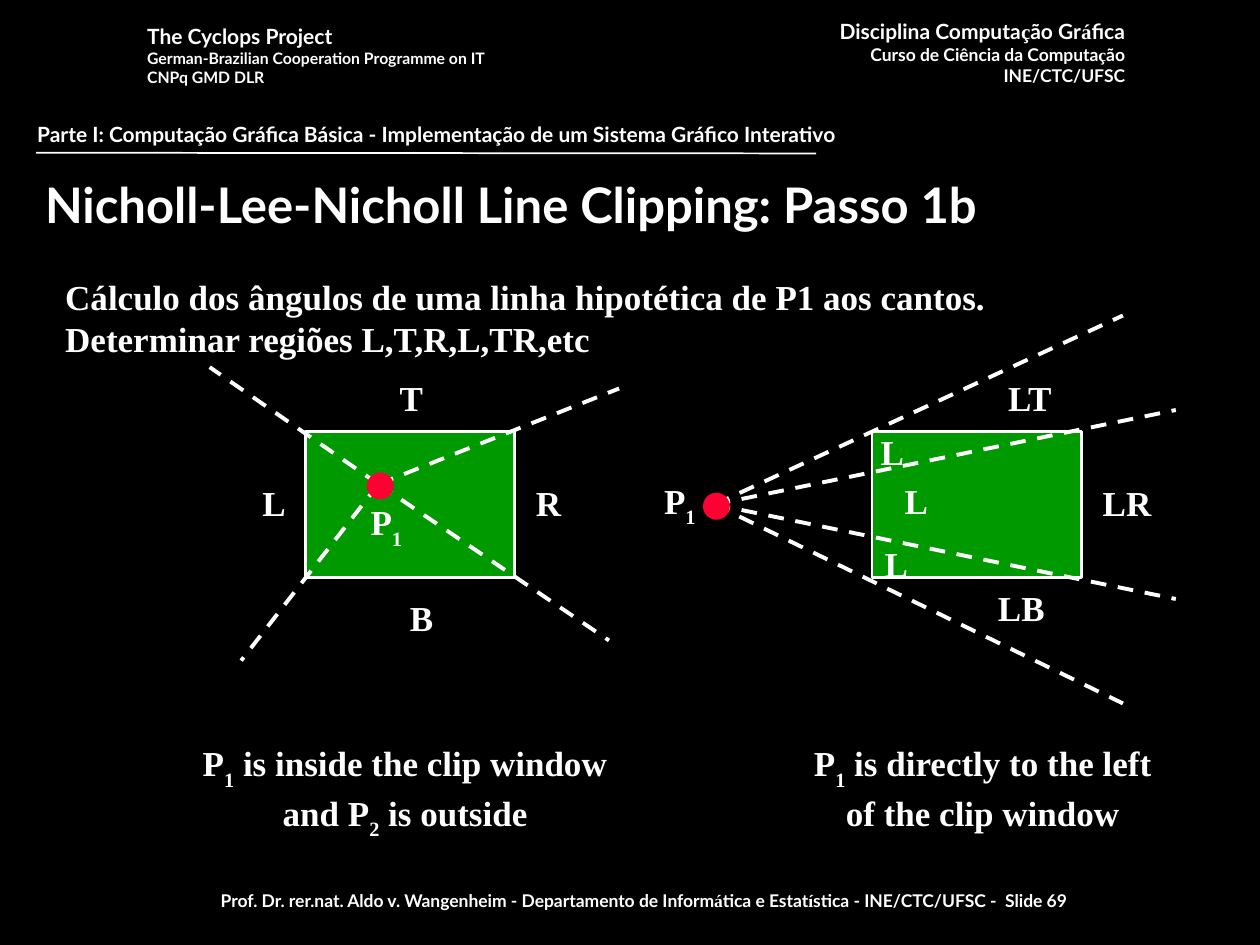
from pptx import Presentation
from pptx.dml.color import RGBColor
from pptx.enum.dml import MSO_LINE
from pptx.enum.shapes import MSO_CONNECTOR, MSO_SHAPE
from pptx.enum.text import MSO_ANCHOR, MSO_AUTO_SIZE, PP_ALIGN
from pptx.oxml.ns import qn
from pptx.util import Pt
from lxml import etree

BLACK = RGBColor(0x00, 0x00, 0x00)
WHITE = RGBColor(0xFF, 0xFF, 0xFF)
GREEN = RGBColor(0x00, 0x99, 0x00)
RED = RGBColor(0xFF, 0x00, 0x33)

SANS, SERIF = "Lato", "Times New Roman"
LEFT, CENTER, RIGHT = PP_ALIGN.LEFT, PP_ALIGN.CENTER, PP_ALIGN.RIGHT
DASH = MSO_LINE.DASH
STRAIGHT = MSO_CONNECTOR.STRAIGHT
RECTANGLE, OVAL = MSO_SHAPE.RECTANGLE, MSO_SHAPE.OVAL
FIT_SHAPE, FIXED_SIZE = MSO_AUTO_SIZE.SHAPE_TO_FIT_TEXT, MSO_AUTO_SIZE.NONE
MIDDLE = MSO_ANCHOR.MIDDLE

WINDOW_WIDTH, WINDOW_HEIGHT = 119.5, 83.5
DOT_SIZE = 14.4


def make_serif(run):
    run.font.name = SERIF


def make_subscript(run):
    run.font._element.set("baseline", "-30000")


def add_text(shapes, box, lines, font=SERIF, align=LEFT, wrap=False, mark=make_subscript):
    """Add lines of (text, size); every second part between bars gets the mark."""
    shape = shapes.add_textbox(*(Pt(length) for length in box))
    frame = shape.text_frame
    frame.word_wrap = wrap
    frame.auto_size = FIT_SHAPE
    for index, (text, size) in enumerate(lines):
        paragraph = frame.add_paragraph() if index else frame.paragraphs[0]
        paragraph.alignment = align
        for part_index, part in enumerate(text.split("|")):
            run = paragraph.add_run()
            run.text = part
            run.font.name = font
            run.font.size = Pt(size)
            run.font.bold = True
            run.font.color.rgb = WHITE
            if part_index % 2:
                mark(run)
    return shape


def add_line(shapes, start, end, weight, dash=None):
    line = shapes.add_connector(STRAIGHT, *(Pt(length) for length in (*start, *end)))
    line.line.color.rgb = WHITE
    line.line.width = Pt(weight)
    if dash is not None:
        line.line.dash_style = dash
    etree.SubElement(line._element.spPr, qn("a:effectLst"))


def add_filled(shapes, kind, box, fill, outline, weight):
    shape = shapes.add_shape(kind, *(Pt(length) for length in box))
    shape.shadow.inherit = False
    shape.fill.solid()
    shape.fill.fore_color.rgb = fill
    shape.line.color.rgb = outline
    shape.line.width = Pt(weight)


def add_header(slide, left, top, width):
    # Project on the left, course on the right
    add_text(slide.shapes, (left, top + 2.9, 231, 43), [
        ("The Cyclops Project", 12),
        ("German-Brazilian Cooperation Programme on IT", 9),
        ("CNPq GMD DLR", 9),
    ], SANS)
    course_width = 196
    add_text(slide.shapes, (left + width - course_width, top, course_width, 46), [
        ("Disciplina Computa|ç|ão Gr|á|fica", 12),
        ("Curso de Ciência da Computa|ç|ão", 10),
        ("INE/CTC/UFSC", 10),
    ], SANS, RIGHT, mark=make_serif)


def add_section(slide, left, top, width):
    part = "Parte I: Computação Gráfica Básica - Implementação de um Sistema Gráfico Interativo"
    add_text(slide.shapes, (left, top, width, 21.6), [(part, 12)], SANS, wrap=True)
    add_line(slide.shapes, (left + 6.5, top + 21.4), (left + 452.2, top + 21.8), 1)


def add_title(slide, box):
    title = add_text(slide.shapes, box, [("Nicholl-Lee-Nicholl Line Clipping: Passo 1b", 28)],
                     SANS, wrap=True)
    title.text_frame.auto_size = FIXED_SIZE
    title.text_frame.vertical_anchor = MIDDLE


def add_introduction(slide, box):
    add_text(slide.shapes, box, [
        ("Cálculo dos ângulos de uma linha hipotética de P1 aos cantos.", 20),
        ("Determinar regiões L,T,R,L,TR,etc", 20),
    ], wrap=True)


def add_diagram(slide, left, top, point, ray_ends, labels):
    """Draw a clip window at left, top; all else is relative to that corner."""
    shapes = slide.shapes.add_group_shape().shapes
    add_filled(shapes, RECTANGLE, (left, top, WINDOW_WIDTH, WINDOW_HEIGHT), GREEN, WHITE, 1.5)

    # Rays from P1 through the window corners
    start = (left + point[0], top + point[1])
    for x, y in ray_ends:
        add_line(shapes, start, (left + x, top + y), 2.25, DASH)
    corner = [centre + 1 - DOT_SIZE / 2 for centre in start]
    add_filled(shapes, OVAL, (*corner, DOT_SIZE, DOT_SIZE), RED, RED, 1)

    # Region names
    for text, x, y, width in labels:
        add_text(shapes, (left + x, top + y, width, 31.7), [(text, 20)])


def add_caption(slide, box, lines):
    add_text(slide.shapes, box, [(line, 20) for line in lines], align=CENTER)


def add_footer(slide, box):
    credit = ("Prof. Dr. rer.nat. Aldo v. Wangenheim - Departamento de Inform|á|tica e Estat|í|stica"
              " - INE/CTC/UFSC -  Slide 69")
    add_text(slide.shapes, box, [(credit, 10)], SANS, CENTER, wrap=True, mark=make_serif)


def main():
    presentation = Presentation()
    presentation.slide_width, presentation.slide_height = Pt(720), Pt(540)
    slide = presentation.slides.add_slide(presentation.slide_layouts[6])
    slide.background.fill.solid()
    slide.background.fill.fore_color.rgb = BLACK

    add_header(slide, 77, 7.2, 573)
    add_footer(slide, (50, 505, 635.8, 21))
    add_section(slide, 14.2, 65.9, 684)

    # P1 inside the window
    add_diagram(
        slide, 174.5, 246.5, (41.8, 30.2),
        [(179.3, -24.5), (173.5, 119.5), (-54.7, -36.7), (-36.7, 131)],
        [("P|1", 30.2, 36, 33), ("T", 46.8, -34.6, 28), ("L", -31.7, 25.2, 28),
         ("B", 52.6, 90.7, 28), ("R", 124.6, 25.2, 29.5)])
    add_caption(slide, (108.5, 420.2, 246, 64),
                ["P|1| is inside the clip window", "and P|2| is outside"])

    # P1 to the left of the window
    add_diagram(
        slide, 498.4, 246.5, (-90, 41.8),
        [(143.3, -66.2), (173.5, -12.2), (173.5, 95.8), (143.3, 155.5)],
        [("P|1", -126, 23.8, 33), ("L", -2.2, -4.3, 28), ("L", 11.5, 23.8, 28),
         ("L", 0, 59.8, 28), ("LT", 70.6, -34.6, 42), ("LR", 124.6, 25.2, 43.5),
         ("LB", 64.8, 85, 42)])
    add_caption(slide, (457.6, 420.2, 208, 60),
                ["P|1| is directly to the left", "of the clip window"])

    add_title(slide, (18.7, 92.9, 676.8, 46.8))
    add_introduction(slide, (30.2, 153.8, 560, 55.4))
    presentation.save("out.pptx")


if __name__ == "__main__":
    main()
